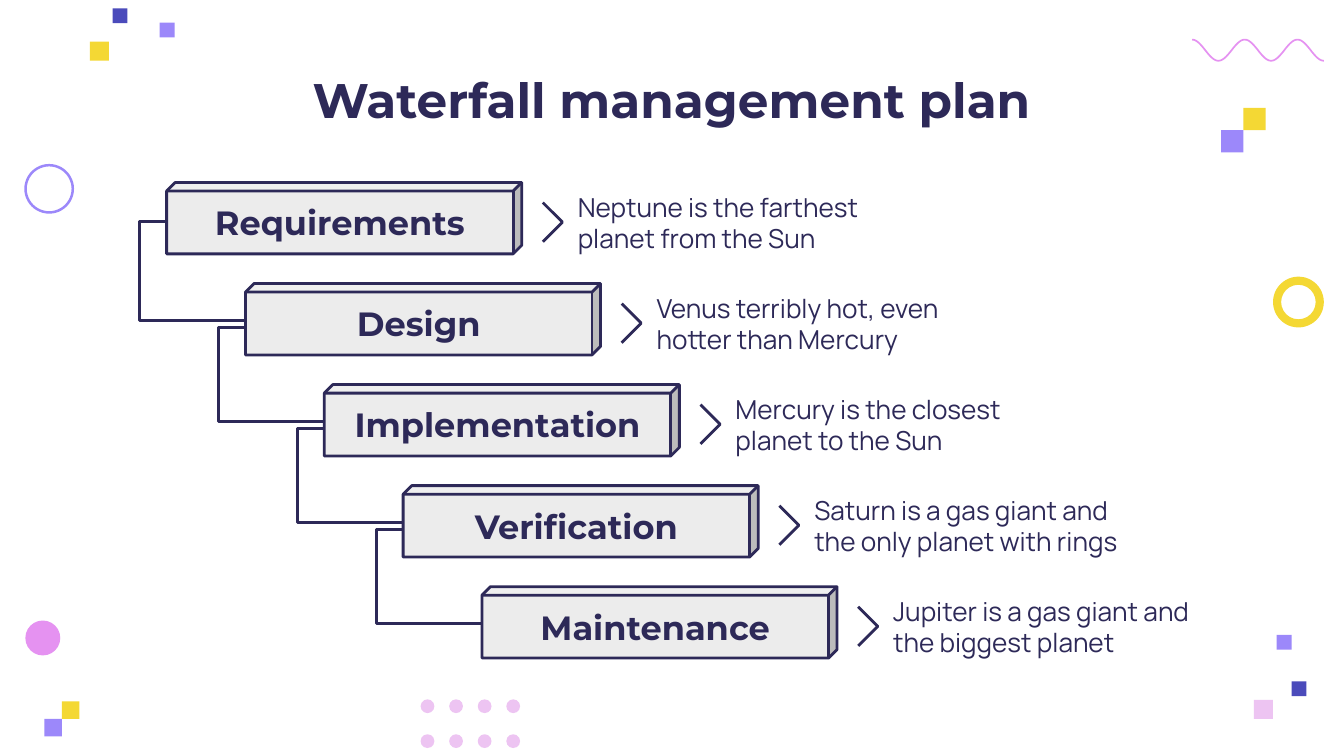
import math
from dataclasses import dataclass

import pptx
import pptx.dml.color
import pptx.enum.shapes
import pptx.enum.text
import pptx.util

Cm = pptx.util.Cm
Pt = pptx.util.Pt
SHAPE = pptx.enum.shapes.MSO_SHAPE
ALIGN = pptx.enum.text.PP_ALIGN

COLOURS = {
    "ink": "2D2958",
    "box": "ECECEC",
    "yellow": "F4D834",
    "lilac": "9C88FA",
    "indigo": "4B4BBB",
    "pink": "E592F1",
    "pale": "EDC4F2",
}


@dataclass
class Stage:
    name: str
    detail: str


@dataclass
class Ornament:
    kind: int
    left: float
    top: float
    size: float
    colour: str
    thickness: float | None = None


STAGES = [
    Stage("Requirements", "Neptune is the farthest planet from the Sun"),
    Stage("Design", "Venus terribly hot, even hotter than Mercury"),
    Stage("Implementation", "Mercury is the closest planet to the Sun"),
    Stage("Verification", "Saturn is a gas giant and the only planet with rings"),
    Stage("Maintenance", "Jupiter is a gas giant and the biggest planet"),
]

ORNAMENTS = [
    Ornament(SHAPE.RECTANGLE, 1.70, 0.79, 0.36, "yellow"),
    Ornament(SHAPE.RECTANGLE, 3.02, 0.43, 0.28, "lilac"),
    Ornament(SHAPE.RECTANGLE, 2.13, 0.16, 0.28, "indigo"),
    Ornament(SHAPE.RECTANGLE, 23.50, 2.04, 0.42, "yellow"),
    Ornament(SHAPE.RECTANGLE, 23.08, 2.46, 0.42, "lilac"),
    Ornament(SHAPE.RECTANGLE, 23.70, 13.23, 0.36, "pale"),
    Ornament(SHAPE.RECTANGLE, 24.13, 12.00, 0.28, "lilac"),
    Ornament(SHAPE.RECTANGLE, 24.41, 12.88, 0.28, "indigo"),
    Ornament(SHAPE.RECTANGLE, 1.17, 13.26, 0.33, "yellow"),
    Ornament(SHAPE.RECTANGLE, 0.84, 13.59, 0.33, "lilac"),
    Ornament(SHAPE.OVAL, 0.48, 11.73, 0.66, "pink"),
    Ornament(SHAPE.DONUT, 24.06, 5.23, 0.96, "yellow", 0.16),
    Ornament(SHAPE.DONUT, 0.46, 3.10, 0.94, "lilac", 0.05),
] + [
    Ornament(SHAPE.OVAL, 7.95 + 0.54 * column, 13.22 + 0.66 * row, 0.26, "pale")
    for row in range(2)
    for column in range(4)
]

# Staircase measures in centimetres
FIRST_LEFT, FIRST_TOP = 3.15, 3.45
STEP_X, STEP_Y = 1.49, 1.91
BOX_WIDTH, BOX_HEIGHT = 6.71, 1.35


def rgb(name: str) -> pptx.dml.color.RGBColor:
    return pptx.dml.color.RGBColor.from_string(COLOURS[name])


def write(frame, text: str, font: str, size: float, bold: bool, align) -> None:
    frame.word_wrap = True
    frame.auto_size = pptx.enum.text.MSO_AUTO_SIZE.NONE
    frame.vertical_anchor = pptx.enum.text.MSO_ANCHOR.MIDDLE
    frame.margin_left = frame.margin_right = Cm(0.25)
    frame.margin_top = frame.margin_bottom = Cm(0.25)
    para = frame.paragraphs[0]
    para.text = text
    para.alignment = align
    para.font.name = font
    para.font.size = Pt(size)
    para.font.bold = bold
    para.font.color.rgb = rgb("ink")


def draw_ornament(page, item: Ornament) -> None:
    shape = page.shapes.add_shape(
        item.kind, Cm(item.left), Cm(item.top), Cm(item.size), Cm(item.size))
    shape.shadow.inherit = False
    shape.fill.solid()
    shape.fill.fore_color.rgb = rgb(item.colour)
    shape.line.fill.background()
    if item.thickness is not None:
        shape.adjustments[0] = item.thickness


def draw_path(page, points: list[tuple[float, float]], colour: str, weight: float) -> None:
    corners = [(Cm(x), Cm(y)) for x, y in points]
    builder = page.shapes.build_freeform(*corners[0])
    builder.add_line_segments(corners[1:], close=False)
    shape = builder.convert_to_shape()
    shape.shadow.inherit = False
    shape.fill.background()
    shape.line.color.rgb = rgb(colour)
    shape.line.width = Pt(weight)


def draw_wave(page) -> None:
    left, middle, width, height, turns, count = 22.53, 0.95, 2.49, 0.2, 2.5, 100
    draw_path(page, [
        (left + width * i / count,
         middle - height * math.cos(2 * math.pi * turns * i / count))
        for i in range(count + 1)
    ], "pink", 0.9)


def draw_stage(page, index: int, stage: Stage) -> None:
    left = FIRST_LEFT + STEP_X * index
    top = FIRST_TOP + STEP_Y * index

    # Labelled block
    box = page.shapes.add_shape(
        SHAPE.CUBE, Cm(left), Cm(top), Cm(BOX_WIDTH), Cm(BOX_HEIGHT))
    box.adjustments[0] = 0.12
    box.shadow.inherit = False
    box.fill.solid()
    box.fill.fore_color.rgb = rgb("box")
    box.line.color.rgb = rgb("ink")
    box.line.width = Pt(1.5)
    write(box.text_frame, stage.name, "Montserrat", 18, True, ALIGN.CENTER)

    # Chevron and explanation
    tail, tip = left + 7.11, left + 7.48
    draw_path(page, [(tail, top + 0.38), (tip, top + 0.75), (tail, top + 1.12)],
              "ink", 1.5)
    detail = page.shapes.add_textbox(Cm(left + 7.52), Cm(top + 0.02), Cm(6.55), Cm(1.47))
    write(detail.text_frame, stage.detail, "Manrope", 14, False, ALIGN.LEFT)

    # Bracket to the next stage, leaving below the incoming one
    if index < len(STAGES) - 1:
        start = top + (0.74 if index == 0 else 0.83)
        end = top + STEP_Y + 0.7
        elbow = left - 0.51
        draw_path(page, [(left, start), (elbow, start), (elbow, end),
                         (left + STEP_X, end)], "ink", 1.5)


def main() -> None:
    deck = pptx.Presentation()
    deck.slide_width, deck.slide_height = Cm(25.4), Cm(14.29)
    page = deck.slides.add_slide(deck.slide_layouts[5])

    # Title
    title = page.shapes.title
    title.left, title.top = Cm(2.11), Cm(1.07)
    title.width, title.height = Cm(21.18), Cm(1.6)
    write(title.text_frame, "Waterfall management plan", "Montserrat", 26, True,
          ALIGN.CENTER)

    # Decoration
    for item in ORNAMENTS:
        draw_ornament(page, item)
    draw_wave(page)

    # Waterfall
    for index, stage in enumerate(STAGES):
        draw_stage(page, index, stage)

    deck.save("out.pptx")


if __name__ == "__main__":
    main()
